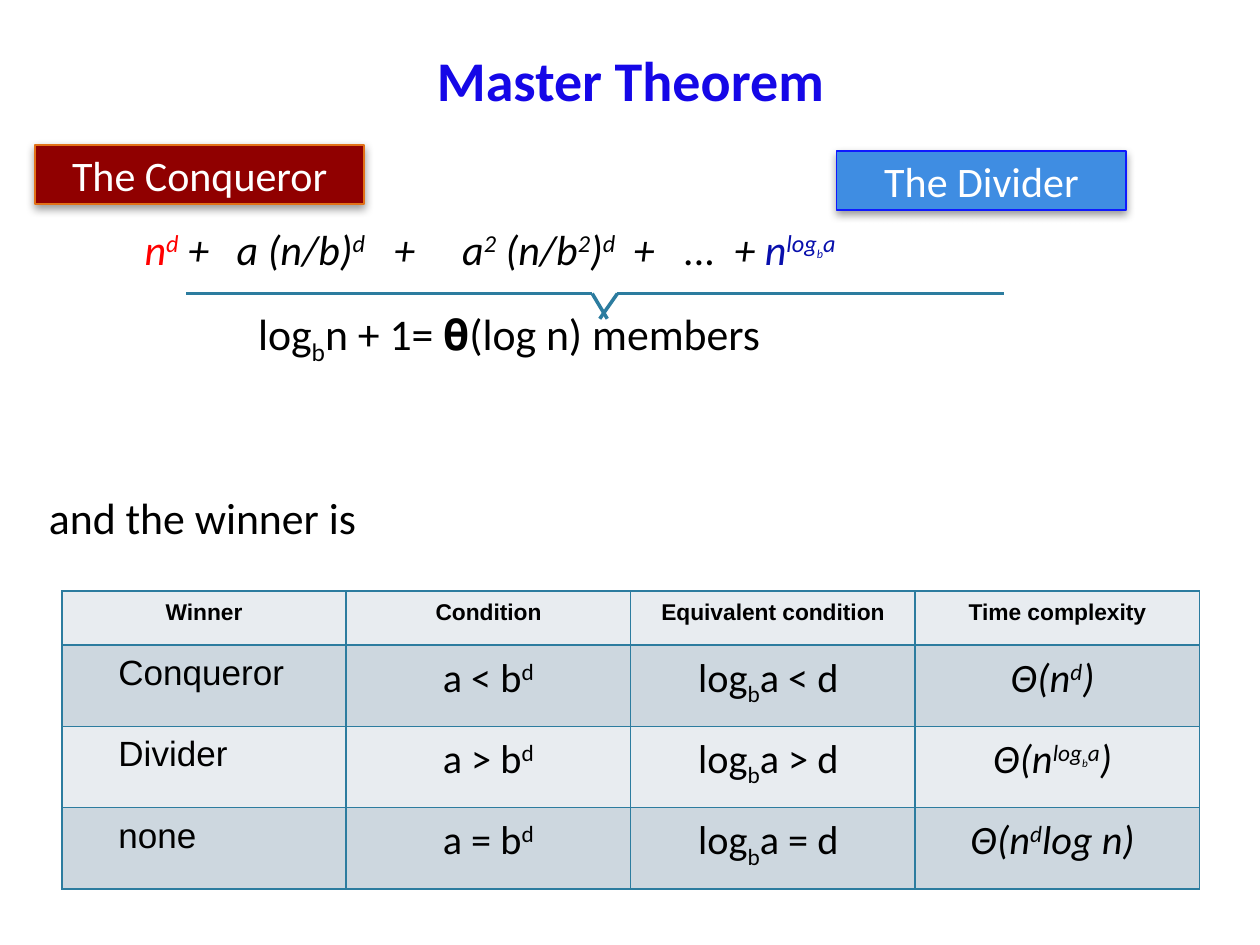
from lxml.etree import SubElement
from pptx import Presentation
from pptx.dml.color import RGBColor
from pptx.enum.shapes import MSO_CONNECTOR as Connector, MSO_SHAPE as Shape
from pptx.enum.text import MSO_ANCHOR as Anchor, PP_ALIGN as Align
from pptx.oxml.ns import qn
from pptx.util import Inches, Pt

TEAL = "2C7C9F"
SUP = {"baseline": 30}
SUB = {"baseline": -25}
LOG_B_A = [("log", SUP), ("b", {**SUP, "size": 12}), ("a", SUP)]


def color(value):
    """Turn a hex string into a colour."""
    return RGBColor.from_string(value)


def write(paragraph, text, size=24, font="Calibri", ink="000000", bold=False,
          italic=False, baseline=0):
    """Add one formatted run to a paragraph."""
    run = paragraph.add_run()
    run.text = text
    run.font.size = Pt(size)
    run.font.name = font
    run.font.color.rgb = color(ink)
    run.font.bold = bold
    run.font.italic = italic
    if baseline:
        run.font._element.set("baseline", str(baseline * 1000))


def write_parts(paragraph, parts, **base):
    """Write (text, changes) pairs that share a base format."""
    for text, changes in parts:
        write(paragraph, text, **{**base, **changes})


def add_text_frame(slide, box):
    """Add a wrapping text box and return its frame."""
    frame = slide.shapes.add_textbox(*map(Inches, box)).text_frame
    frame.word_wrap = True
    return frame


def add_title(slide, box, text):
    """Place the centred title."""
    frame = add_text_frame(slide, box)
    frame.vertical_anchor = Anchor.MIDDLE
    paragraph = frame.paragraphs[0]
    paragraph.alignment = Align.CENTER
    write(paragraph, text, size=32, ink="1507E7", bold=True)


def set_tabs(paragraph, stops):
    """Give a paragraph left tab stops, in inches."""
    tabs = SubElement(paragraph._p.get_or_add_pPr(), qn("a:tabLst"))
    for stop in stops:
        SubElement(tabs, qn("a:tab"), pos=str(Inches(stop)), algn="l")


def add_body(slide, box):
    """Place the series, its member count and the lead-in to the table."""
    frame = add_text_frame(slide, box)
    frame.margin_top = Inches(0.71)
    series = frame.paragraphs[0]
    series.line_spacing = Pt(15.2)
    set_tabs(series, [0.76, 1.49, 2.74, 3.28, 4.64, 5.04, 5.44])
    red, blue = {"ink": "FF0000"}, {"ink": "080FAC"}
    write_parts(series, [
        ("\t", {}), ("n", red), ("d", {**red, **SUP}),
        (" +\ta (n/b)", {}), ("d", SUP), ("\t+\ta", {}), ("2", SUP),
        (" (n/b", {}), ("2", SUP), (")", {}), ("d", SUP),
        ("\t+\t...\t+ ", {}), ("n", blue),
        *[(text, {**changes, **blue}) for text, changes in LOG_B_A],
    ], italic=True)

    members = frame.add_paragraph()
    members.space_before = Pt(19)
    members._p.get_or_add_pPr().set("marL", str(Inches(1.66)))
    write_parts(members, [("log", {}), ("b", SUB),
                          ("n + 1= 𝛉(log n) members", {})], size=25)

    winner = frame.add_paragraph()
    winner.space_before = Pt(71)
    write(winner, "and the winner is", size=25)


def add_label(slide, box, text, fill, line):
    """Place a filled label with a soft shadow."""
    shape = slide.shapes.add_shape(Shape.RECTANGLE, *map(Inches, box))
    shape.fill.solid()
    shape.fill.fore_color.rgb = color(fill)
    shape.line.color.rgb = color(line)
    shape.line.width = Pt(1)
    shape.shadow.inherit = False
    effects = shape._element.spPr.find(qn("a:effectLst"))
    shadow = SubElement(effects, qn("a:outerShdw"), blurRad=str(Pt(5)),
                        dist=str(Pt(2)), dir="5400000", rotWithShape="0")
    tint = SubElement(shadow, qn("a:srgbClr"), val="000000")
    SubElement(tint, qn("a:alpha"), val="40000")
    shape.text_frame.vertical_anchor = Anchor.MIDDLE
    paragraph = shape.text_frame.paragraphs[0]
    paragraph.alignment = Align.CENTER
    write(paragraph, text, ink="FFFFFF")


def add_brace(slide, box):
    """Draw a flat brace with a crossed tip below the series."""
    left, top, width, height = box
    right, bottom = left + width, top + height
    notch_left, notch_right = 4.7, 4.9
    for ends in [(left, top, notch_left, top),
                 (notch_right, top, right, top),
                 (4.82, bottom, notch_left, top),
                 (4.76, bottom, notch_right, top)]:
        line = slide.shapes.add_connector(Connector.STRAIGHT, *map(Inches, ends))
        line.line.color.rgb = color(TEAL)
        line.line.width = Pt(2)
        SubElement(line._element.spPr, qn("a:effectLst"))


def format_cell(cell, fill):
    """Set a cell's margins, borders and fill."""
    cell.margin_left = cell.margin_right = cell.margin_top = Inches(0.07)
    cell.margin_bottom = Inches(0.14)
    properties = cell._tc.get_or_add_tcPr()
    for side in ("lnL", "lnR", "lnT", "lnB"):
        border = SubElement(properties, qn(f"a:{side}"), w=str(Pt(1)))
        paint = SubElement(border, qn("a:solidFill"))
        SubElement(paint, qn("a:srgbClr"), val=TEAL)
    cell.fill.solid()
    cell.fill.fore_color.rgb = color(fill)


def add_results(slide, box):
    """Place the table of winners and time complexities."""
    headers = ["Winner", "Condition", "Equivalent condition", "Time complexity"]
    small_log = [("log", SUP), ("b", {**SUP, "size": 11}), ("a", SUP)]
    results = [("Conqueror", "<", [("d", SUP), (") ", {})]),
               ("Divider", ">", [*small_log, (") ", {})]),
               ("none", "=", [("d", SUP), ("log n) ", {})])]
    rows = [[[(header, {})] for header in headers]]
    for name, sign, cost in results:
        rows.append([[(name, {})],
                     [(f"a {sign} b", {}), ("d", SUP)],
                     [("log", {}), ("b", SUB), (f"a {sign} d ", {})],
                     [("Θ(n", {}), *cost]])
    table = slide.shapes.add_table(len(rows), len(headers),
                                   *map(Inches, box)).table
    for index, row in enumerate(rows):
        table.rows[index].height = Inches(0.59 if index else 0.43)
        for column, parts in enumerate(row):
            cell = table.cell(index, column)
            format_cell(cell, "CDD7DF" if index % 2 else "E8ECF0")
            paragraph = cell.text_frame.paragraphs[0]
            paragraph.space_before, paragraph.space_after = Pt(6), Pt(12)
            paragraph.alignment = Align.CENTER
            if index == 0:
                style = {"size": 13, "font": "Arial", "bold": True}
            elif column == 0:
                style = {"size": 20, "font": "Arial"}
                paragraph.alignment = Align.LEFT
                cell.margin_left = Inches(0.45)
            else:
                style = {"size": 23, "italic": column == 3}
            write_parts(paragraph, parts, **style)


def main():
    """Build and save the slide."""
    presentation = Presentation()
    presentation.slide_width = Inches(10)
    presentation.slide_height = Inches(7.5)
    slide = presentation.slides.add_slide(presentation.slide_layouts[6])
    add_title(slide, (0.29, 0.12, 9.43, 1.01), "Master Theorem")
    add_body(slide, (0.29, 1.25, 9.43, 5.25))
    add_results(slide, (0.49, 4.69, 9.03, 2.23))
    add_label(slide, (0.28, 1.15, 2.61, 0.47), "The Conqueror", "900000", "E27218")
    add_label(slide, (6.64, 1.2, 2.3, 0.47), "The Divider", "3F8DE2", "0F19FF")
    add_brace(slide, (1.48, 2.33, 6.49, 0.2))
    presentation.save("out.pptx")


if __name__ == "__main__":
    main()
